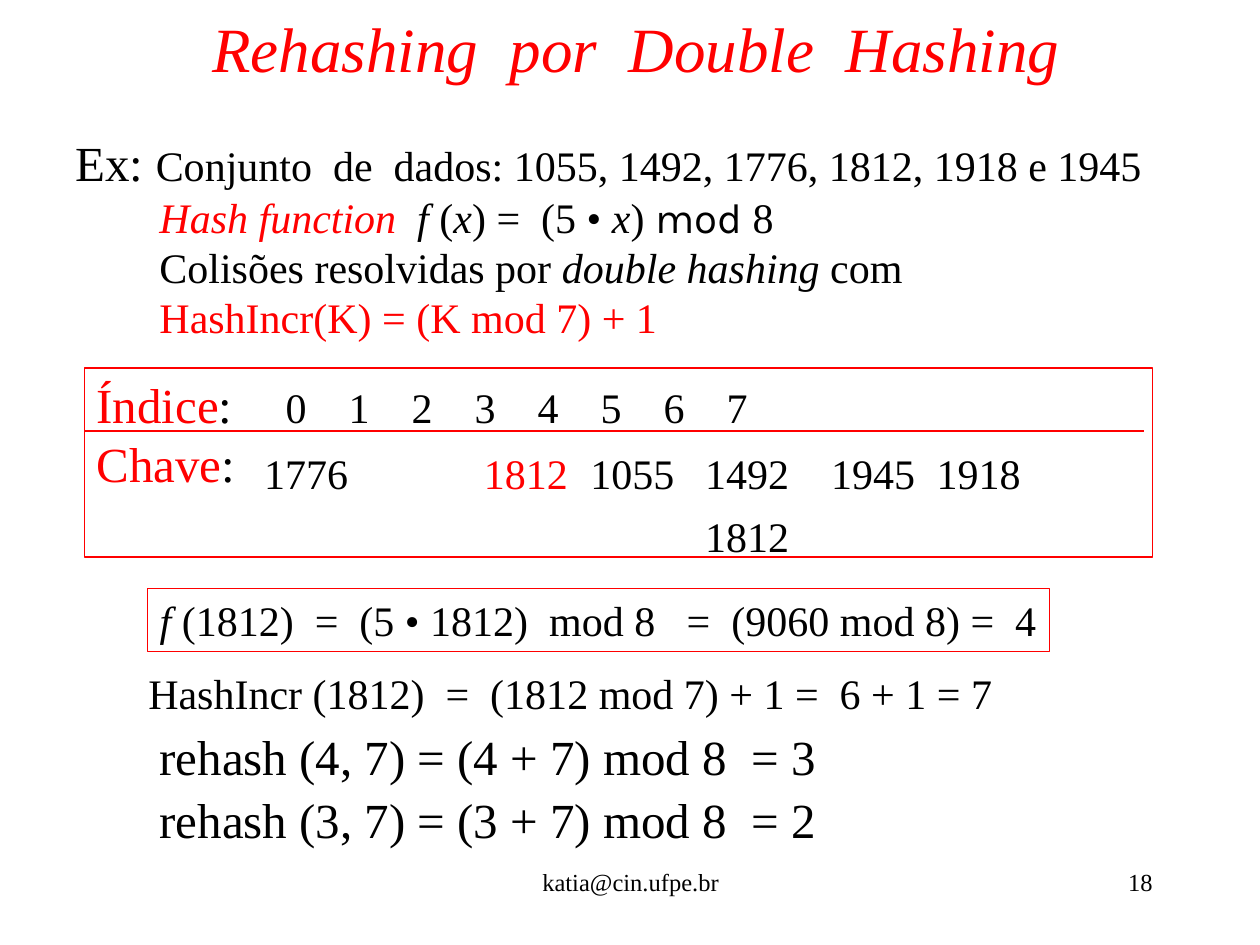
"""Build the slide about rehashing by double hashing."""
from dataclasses import dataclass
from typing import Optional

from lxml.etree import SubElement
from pptx import Presentation
from pptx.dml.color import RGBColor
from pptx.enum.shapes import MSO_CONNECTOR, MSO_SHAPE
from pptx.enum.text import MSO_ANCHOR, MSO_AUTO_SIZE, PP_ALIGN
from pptx.oxml.ns import qn
from pptx.util import Cm, Pt


@dataclass(frozen=True)
class Theme:
    font: str = "Times New Roman"
    mod_font: str = "Karla"
    black: RGBColor = RGBColor(0, 0, 0)
    red: RGBColor = RGBColor(255, 0, 0)
    title: int = 36
    large: int = 28
    body: int = 24
    small: int = 14
    rule: float = 0.75


T = Theme()


@dataclass(frozen=True)
class Span:
    text: str
    size: int = T.body
    color: RGBColor = T.black
    italic: bool = False
    font: str = T.font


@dataclass(frozen=True)
class Para:
    spans: tuple[Span, ...]
    align: PP_ALIGN = PP_ALIGN.LEFT
    spacing: float = 1.0
    indent: float = 0
    tabs: tuple[float, ...] = ()


@dataclass(frozen=True)
class Box:
    left: float
    top: float
    width: float
    height: float
    paras: tuple[Para, ...]
    framed: bool = False
    wrap: bool = True


@dataclass(frozen=True)
class Key:
    value: str
    slot: int
    row: int = 0
    color: RGBColor = T.black


def line(text: str, size: int = T.body, **layout) -> tuple[Para, ...]:
    return (Para((Span(text, size),), **layout),)


def write(tf, paras: tuple[Para, ...], wrap: bool = True, anchor: MSO_ANCHOR = MSO_ANCHOR.TOP) -> None:
    tf.auto_size, tf.word_wrap, tf.vertical_anchor = MSO_AUTO_SIZE.NONE, wrap, anchor
    for i, para in enumerate(paras):
        p = tf.add_paragraph() if i else tf.paragraphs[0]
        p.alignment, p.line_spacing = para.align, para.spacing
        p.space_before = p.space_after = Pt(0)
        pPr = p._p.get_or_add_pPr()
        pPr.set("marL", str(Cm(para.indent)))
        pPr.set("indent", "0")
        SubElement(pPr, qn("a:buNone"))
        if para.tabs:
            tab_list = SubElement(pPr, qn("a:tabLst"))
            for pos in para.tabs:
                SubElement(tab_list, qn("a:tab"), pos=str(Cm(pos)), algn="ctr")
        for span in para.spans:
            r = p.add_run()
            r.text = span.text
            r.font.name, r.font.size, r.font.italic = span.font, Pt(span.size), span.italic
            r.font.color.rgb = span.color


def place(sp, left: float, top: float, width: float, height: float) -> None:
    sp.left, sp.top, sp.width, sp.height = Cm(left), Cm(top), Cm(width), Cm(height)


def draw_box(s, box: Box) -> None:
    area = [Cm(v) for v in (box.left, box.top, box.width, box.height)]
    if box.framed:
        sp = s.shapes.add_shape(MSO_SHAPE.RECTANGLE, *area)
        sp.shadow.inherit = False
        sp.fill.background()
        sp.line.color.rgb, sp.line.width = T.red, Pt(T.rule)
    else:
        sp = s.shapes.add_textbox(*area)
    write(sp.text_frame, box.paras, box.wrap)


def draw_rule(s, x1: float, x2: float, y: float) -> None:
    rule = s.shapes.add_connector(MSO_CONNECTOR.STRAIGHT, Cm(x1), Cm(y), Cm(x2), Cm(y))
    rule.line.color.rgb, rule.line.width = T.red, Pt(T.rule)
    SubElement(rule._element.spPr, qn("a:effectLst"))


def draw_key(s, key: Key) -> None:
    para = Para((Span(key.value, color=key.color),), PP_ALIGN.CENTER)
    left = SLOT_CENTERS[key.slot] - KEY_WIDTH / 2
    draw_box(s, Box(left, 8.89 + 1.27 * key.row, KEY_WIDTH, 1.27, (para,), wrap=False))


SLOT_CENTERS = (6.17, 8.46, 10.6, 12.75, 15.06, 17.6, 19.73, 21.79)
KEY_WIDTH = 2.18
TABLE_LEFT = 1.7
INSET = 0.25
INDENT = 1.69

TITLE = (Para((Span("Rehashing  por  Double  Hashing", T.title, T.red, True),), PP_ALIGN.CENTER),)

EXAMPLE = (
    Para((Span("Ex: ", T.large), Span("Conjunto  de  dados: 1055, 1492, 1776, 1812, 1918 e 1945"))),
    Para((Span("Hash function  ", color=T.red, italic=True), Span("f", italic=True), Span(" ("),
          Span("x", italic=True), Span(") =  (5 • "), Span("x", italic=True), Span(") "),
          Span("mod", font=T.mod_font), Span(" 8")), indent=INDENT),
    Para((Span("Colisões resolvidas por "), Span("double hashing", italic=True), Span(" com")),
         indent=INDENT),
    Para((Span("HashIncr(K) = (K mod 7) + 1", color=T.red),), indent=INDENT),
)

TABLE_LABELS = (
    Para((Span("Índice", T.large, T.red), Span(":", T.large),
          Span("".join(f"\t{i}" for i in range(len(SLOT_CENTERS))))),
         tabs=tuple(x - TABLE_LEFT - INSET for x in SLOT_CENTERS)),
    Para((Span("Chave", T.large, T.red), Span(":", T.large))),
)

KEYS = (
    Key("1776", 0), Key("1812", 2, color=T.red), Key("1055", 3), Key("1492", 4),
    Key("1812", 4, row=1), Key("1945", 5), Key("1918", 6),
)

FORMULA = (Para((Span("f", italic=True),
                 Span(" (1812)  =  (5 • 1812)  mod 8   =  (9060 mod 8) =  4"))),)

REHASHES = ("rehash (4, 7) = (4 + 7) mod 8  = 3", "rehash (3, 7) = (3 + 7) mod 8  = 2")

BOXES = (
    Box(TABLE_LEFT, 7.42, 21.54, 3.81, TABLE_LABELS, framed=True),
    Box(2.97, 11.86, 18.19, 1.27, FORMULA, framed=True, wrap=False),
    Box(2.74, 13.34, 17.53, 1.27, line("HashIncr (1812)  =  (1812 mod 7) + 1 =  6 + 1 = 7"), wrap=False),
    *(Box(2.97, 14.61 + 1.27 * i, 14.4, 1.4, line(text, T.large, spacing=0.95))
      for i, text in enumerate(REHASHES)),
    Box(8.69, 17.35, 8.05, 1.27, line("katia@cin.ufpe.br", T.small, align=PP_ALIGN.CENTER)),
    Box(18.21, 17.35, 5.28, 1.27, line("18", T.small, align=PP_ALIGN.RIGHT)),
)


def main(slot: Optional[int] = 1) -> None:
    prs = Presentation()
    prs.slide_width, prs.slide_height = Cm(25.4), Cm(19.05)
    s = prs.slides.add_slide(prs.slide_layouts[1])
    title, body = s.shapes.title, s.placeholders[slot]
    place(title, 1.07, 0, 23.5, 1.91)
    write(title.text_frame, TITLE, anchor=MSO_ANCHOR.MIDDLE)
    place(body, 1.27, 2.54, 22.2, 4.5)
    write(body.text_frame, EXAMPLE)
    for box in BOXES:
        draw_box(s, box)
    draw_rule(s, TABLE_LEFT, 23.06, 8.69)
    for key in KEYS:
        draw_key(s, key)
    prs.save("out.pptx")


if __name__ == "__main__":
    main()
